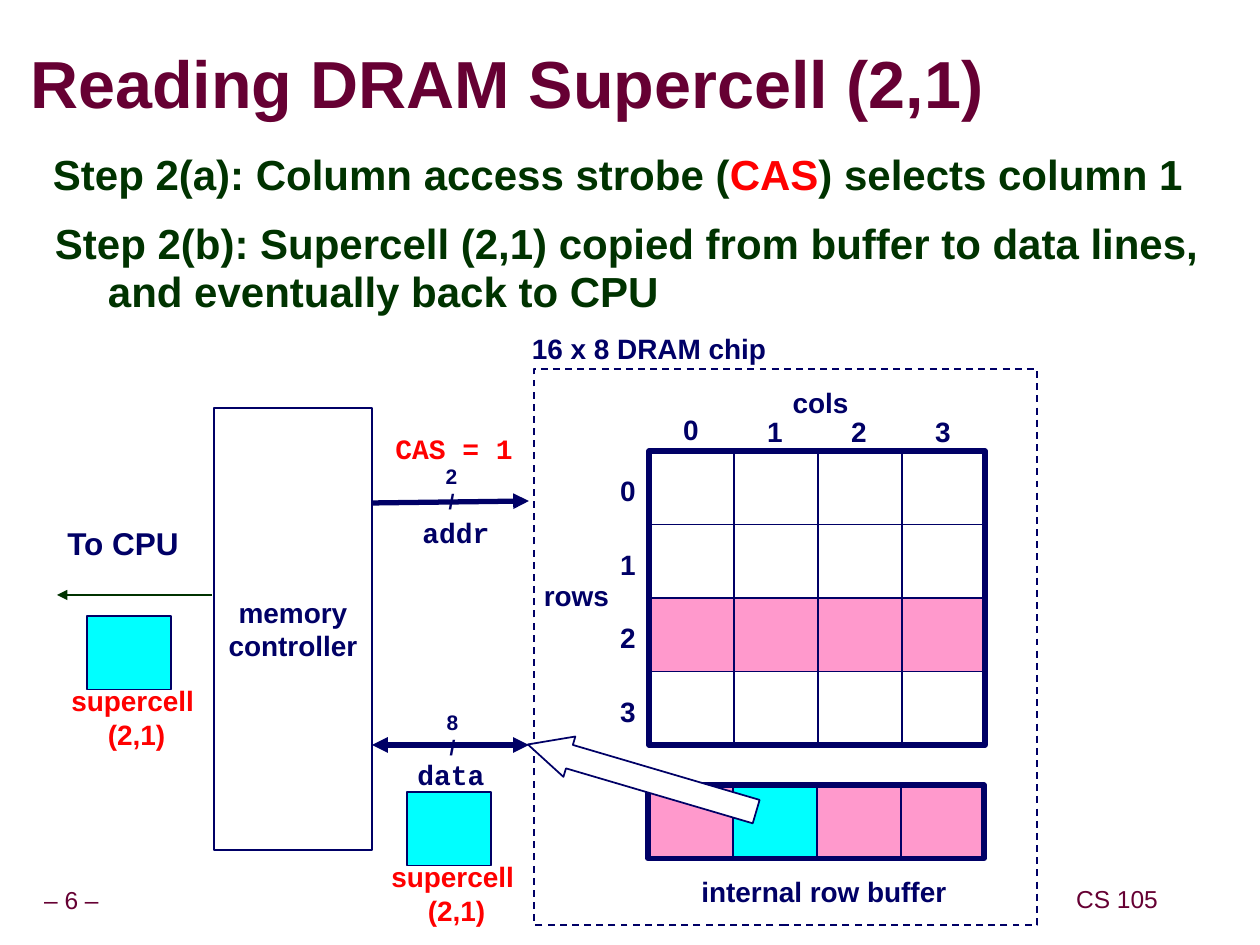
from dataclasses import dataclass

from lxml.etree import SubElement
from pptx import Presentation
from pptx.dml.color import RGBColor
from pptx.enum.dml import MSO_LINE_DASH_STYLE as Dash
from pptx.enum.shapes import MSO_CONNECTOR as Connector, MSO_SHAPE as Shape
from pptx.enum.text import MSO_ANCHOR as Anchor, MSO_AUTO_SIZE as AutoSize, PP_ALIGN as Align
from pptx.oxml import parse_xml
from pptx.oxml.ns import nsdecls, qn
from pptx.util import Pt

PX = 914400 / 126  # EMU in one px


@dataclass(frozen=True)
class Theme:
    navy: str = "000066"
    green: str = "003300"
    maroon: str = "660033"
    red: str = "FF0000"
    pink: str = "FF99CC"
    cyan: str = "00FFFF"
    white: str = "FFFFFF"
    sans: str = "Arial"
    mono: str = "Courier New"
    title: int = 38
    step: int = 24
    cpu: int = 18
    label: int = 16
    footer: int = 14
    bits: int = 12


theme = Theme()
deck = Presentation()
deck.slide_width, deck.slide_height = round(1260 * PX), round(945 * PX)
page = deck.slides.add_slide(deck.slide_layouts[6])


def write(text, at=None, box=None, shapes=page.shapes, size=theme.label, color=theme.navy,
          font=theme.sans, bold=True, align=Align.CENTER, anchor=Anchor.MIDDLE, wrap=False,
          inset=(13, 6), spacing=1.0, before=0, hanging=0, accent=None):
    """Fill box, or a new text box at the given px, with one paragraph per line; accent turns red."""
    box = box or shapes.add_textbox(*(round(v * PX) for v in at))
    frame = box.text_frame
    frame.word_wrap, frame.vertical_anchor = wrap, anchor
    frame.auto_size = AutoSize.NONE
    frame.margin_left = frame.margin_right = round(inset[0] * PX)
    frame.margin_top = frame.margin_bottom = round(inset[1] * PX)
    for index, line in enumerate(text.split("\n")):
        para = frame.add_paragraph() if index else frame.paragraphs[0]
        para.alignment, para.line_spacing, para.space_before = align, spacing, Pt(before)
        if hanging:
            props = para._p.get_or_add_pPr()
            props.set("marL", str(round(hanging * PX)))
            props.set("indent", str(round(-hanging * PX)))
        for part in line.partition(accent) if accent else [line]:
            span = para.add_run()
            span.text = part
            span.font.name, span.font.size, span.font.bold = font, Pt(size), bold
            span.font.color.rgb = RGBColor.from_string(theme.red if part == accent else color)
    return box


def block(at, fill=None, weight=1, kind=Shape.RECTANGLE, shapes=page.shapes):
    shape = shapes.add_shape(kind, *(round(v * PX) for v in at))
    shape.shadow.inherit = False
    if fill:
        shape.fill.solid()
        shape.fill.fore_color.rgb = RGBColor.from_string(fill)
    else:
        shape.fill.background()
    shape.line.color.rgb = RGBColor.from_string(theme.navy)
    shape.line.width = Pt(weight)
    return shape


# Footer, title and steps
footer = dict(size=theme.footer, color=theme.maroon, bold=False, inset=(6, 6), spacing=0.9)
write("– 6 –", (-11, 882, 165, 39), **footer)
write("CS 105", (1070, 881, 94, 39), **footer)

title = write("Reading DRAM Supercell (2,1)", (30, 34, 1017, 107), size=theme.title,
              color=theme.maroon, align=Align.LEFT, wrap=True, inset=(0, 0), spacing=0.87)
title_props = title.text_frame.paragraphs[0].runs[0].font._element
title_props.find(qn("a:solidFill")).addnext(parse_xml(
    f'<a:effectLst {nsdecls("a")}><a:outerShdw dist="38100" dir="2700000">'
    '<a:srgbClr val="000000"/></a:outerShdw></a:effectLst>'))

step = dict(size=theme.step, color=theme.green, align=Align.LEFT, anchor=Anchor.TOP,
            wrap=True, spacing=0.95, before=15, hanging=53)
write("Step 2(a): Column access strobe (CAS) selects column 1", (40, 146, 1200, 74),
      accent="CAS", **step)
write("Step 2(b): Supercell (2,1) copied from buffer to data lines, and eventually back to CPU",
      (42, 215, 1200, 115), **step)

# DRAM chip: four by four cells with row 2 selected
CELL_W, CELL_H = 84, 73.5
GRID_X, GRID_Y, BUFFER_Y = 650, 451, 785
block((534, 369, 503, 556)).line.dash_style = Dash.DASH
write("16 x 8 DRAM chip", (519, 325, 260, 47))
write("cols", (780, 379, 81, 47))
write("rows", (532, 572, 89, 47))
for row in range(4):
    top = GRID_Y + row * CELL_H
    for col in range(4):
        block((GRID_X + col * CELL_W, top, CELL_W, CELL_H),
              theme.pink if row == 2 else theme.white)
    write(str(row), (608, top + 16, 40, 47))
for col in range(4):
    write(str(col), (671 + col * CELL_W, 408 if col else 406, 40, 47))
block((GRID_X - 1, GRID_Y, 4 * CELL_W, 4 * CELL_H), weight=3)

# Internal row buffer, with the selected supercell in column 1
for col in range(4):
    block((GRID_X - 1 + col * CELL_W, BUFFER_Y, CELL_W, CELL_H),
          theme.cyan if col == 1 else theme.pink)
block((GRID_X - 2, BUFFER_Y, 4 * CELL_W, CELL_H), weight=3)
write("internal row buffer", (689, 868, 270, 47))

# Memory controller and its lines
controller = block((214, 408, 158, 442), theme.white)
write("memory\ncontroller", box=controller)
write("CAS = 1", (383, 425, 142, 47), color=theme.red, font=theme.mono)
write("addr", (410, 509, 92, 47), font=theme.mono)
write("data", (405, 751, 92, 47), font=theme.mono)
write("2\n/", (433, 457, 37, 63), size=theme.bits)
write("8\n/", (434, 703, 37, 63), size=theme.bits)

# Copy from the buffer to the data lines
arrow = block((621, 659, 42, 238), theme.white, kind=Shape.DOWN_ARROW)
arrow.adjustments[0], arrow.adjustments[1] = 0.58, 1.03
arrow.rotation = 106.4

# Supercell on the data lines and on its way to the CPU
data_group, cpu_group = (page.shapes.add_group_shape().shapes for _ in range(2))
for group, left, top in [(data_group, 407, 792), (cpu_group, 87, 616)]:
    write("supercell \n(2,1)", (left - 28, top + 61, 155, 81), shapes=group, color=theme.red)
    block((left, top, CELL_W, CELL_H), theme.cyan, shapes=group)
write("To CPU", (60, 522, 126, 47), shapes=cpu_group, size=theme.cpu, anchor=Anchor.TOP,
      inset=(6, 6), spacing=0.9)

for shapes, ends, color, weight, heads in [
    (page.shapes, (372, 503, 529, 501), theme.navy, 3, ["tailEnd"]),
    (page.shapes, (372, 745, 529, 745), theme.navy, 3, ["headEnd", "tailEnd"]),
    (cpu_group, (212, 595, 57, 595), theme.green, 1.5, ["tailEnd"]),
]:
    wire = shapes.add_connector(Connector.STRAIGHT, *(round(v * PX) for v in ends))
    wire.line.color.rgb = RGBColor.from_string(color)
    wire.line.width = Pt(weight)
    wire_props = wire._element.spPr
    for head in heads:
        SubElement(wire_props.find(qn("a:ln")), qn(f"a:{head}"), type="triangle")
    SubElement(wire_props, qn("a:effectLst"))

deck.save("out.pptx")
